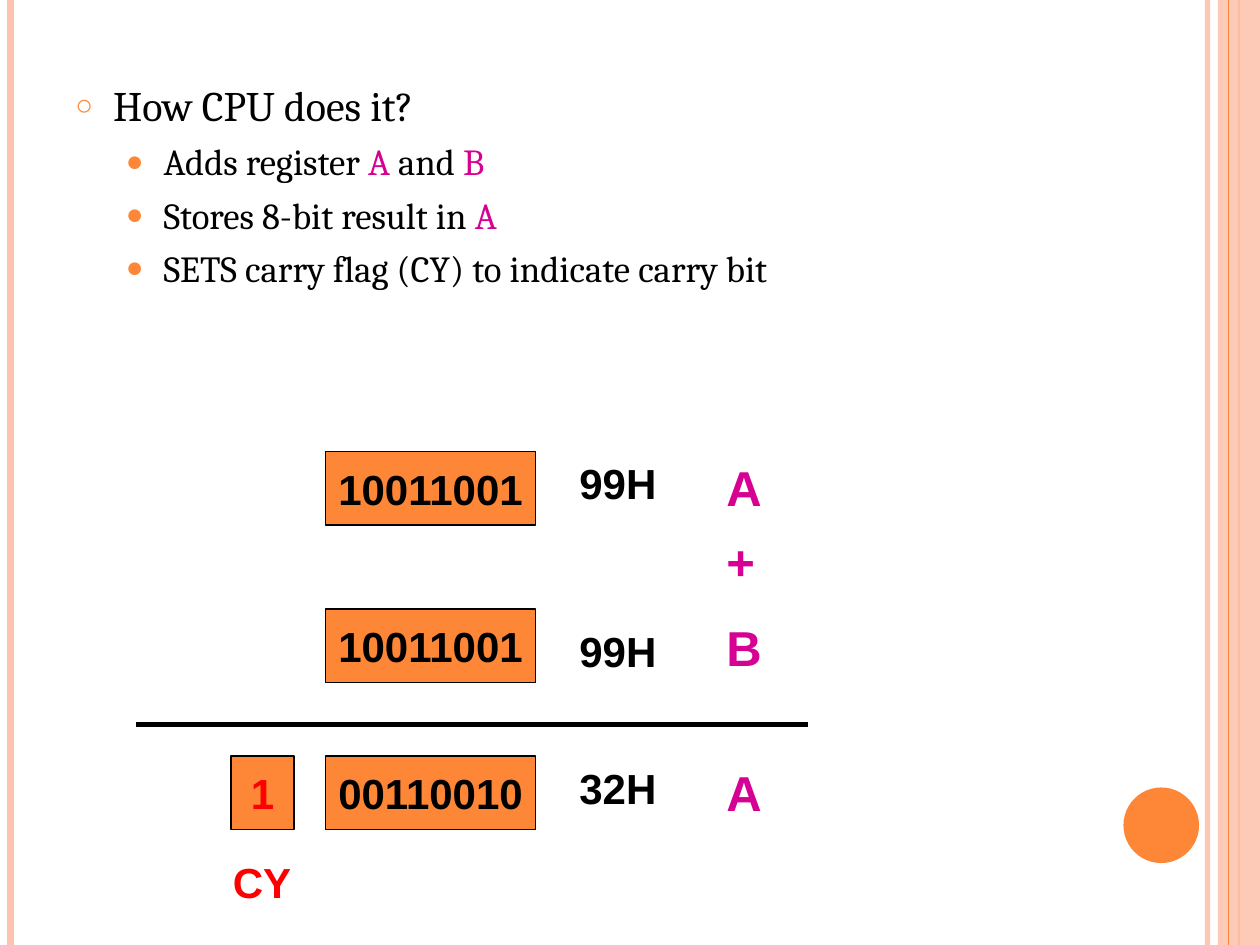
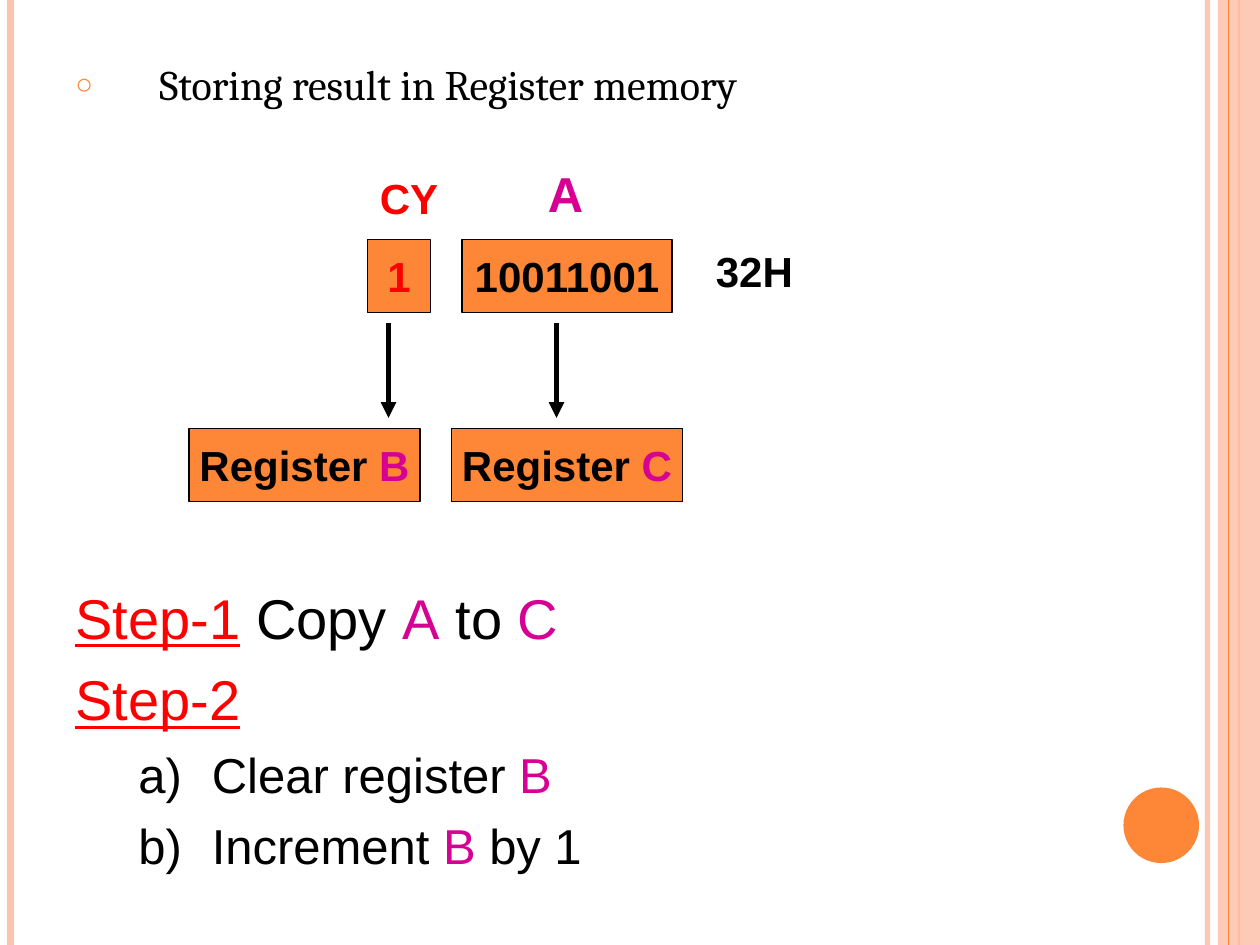
import pptx
import pptx.util
import pptx.dml.color
import pptx.enum.shapes
import pptx.enum.text
import pptx.oxml.ns
import lxml.etree

Pt = pptx.util.Pt
MSO = pptx.enum.shapes.MSO_SHAPE
qn = pptx.oxml.ns.qn
U = pptx.util.Inches(1) / 12
COLS, ROWS = 120, 90

COLORS = {"orange": "FE8637", "peach": "FEC3AE", "black": "000000",
          "pink": "D60093", "red": "FF0000"}
RGB = {k: pptx.dml.color.RGBColor.from_string(v) for k, v in COLORS.items()}

CIRCLE = dict(char="○", color="orange", pct=70)
DOT = dict(char="●", color="orange", pct=80)
LETTER = dict(auto="alphaLcParenR", color="black", pct=100)


def line(s, x1, y1, x2, y2, color, width, arrow=False):
    c = s.shapes.add_connector(pptx.enum.shapes.MSO_CONNECTOR.STRAIGHT,
                               *[round(v * U) for v in (x1, y1, x2, y2)])
    c.line.color.rgb = RGB[color]
    c.line.width = Pt(width)
    if arrow:
        lxml.etree.SubElement(c.line._get_or_add_ln(), qn("a:tailEnd"), type="triangle")
    lxml.etree.SubElement(c._element.spPr, qn("a:effectLst"))
    return c


def box(s, x, y, w, h, paras, framed=False, font="Arial", bold=True):
    at = [round(v * U) for v in (x, y, w, h)]
    if framed:
        sp = s.shapes.add_shape(MSO.RECTANGLE, *at)
        sp.shadow.inherit = False
        sp.fill.solid()
        sp.fill.fore_color.rgb = RGB["orange"]
        sp.line.color.rgb = RGB["black"]
        sp.line.width = Pt(0.75)
    else:
        sp = s.shapes.add_textbox(*at)
    tf = sp.text_frame
    tf.word_wrap = not framed
    for i, (runs, size, space, margin, indent, bullet) in enumerate(paras):
        p = tf.add_paragraph() if i else tf.paragraphs[0]
        if framed:
            p.alignment = pptx.enum.text.PP_ALIGN.CENTER
        p.space_before = Pt(space)
        pPr = p._p.get_or_add_pPr()
        pPr.set("marL", str(round(margin * U)))
        pPr.set("indent", str(round(indent * U)))
        if bullet:
            p.level = 1 if bullet != CIRCLE else 0
            clr = lxml.etree.SubElement(pPr, qn("a:buClr"))
            lxml.etree.SubElement(clr, qn("a:srgbClr"), val=COLORS[bullet["color"]])
            lxml.etree.SubElement(pPr, qn("a:buSzPct"), val=str(bullet["pct"] * 1000))
            lxml.etree.SubElement(pPr, qn("a:buFont"), typeface="Arial")
            if "char" in bullet:
                lxml.etree.SubElement(pPr, qn("a:buChar"), char=bullet["char"])
            else:
                lxml.etree.SubElement(pPr, qn("a:buAutoNum"), type=bullet["auto"])
        for text, color in runs:
            r = p.add_run()
            r.text = text
            r.font.name = font
            r.font.size = Pt(size)
            r.font.bold = bold
            r.font.underline = text.startswith("Step-")
            r.font.color.rgb = RGB[color]
    return sp


prs = pptx.Presentation()
prs.slide_width, prs.slide_height = round(COLS * U), round(ROWS * U)
s1, s2 = [prs.slides.add_slide(prs.slide_layouts[6]) for _ in range(2)]

decor = [line(s1, x, 0, x, ROWS, color, width) for x, color, width in
         [(115, "peach", 3), (1, "peach", 4.5), (118, "orange", 1.5)]]
for g, color, at in [(MSO.RECTANGLE, "peach", (116, 0, 4, ROWS)),
                     (MSO.OVAL, "orange", (107, 75, 7.2, 7.2))]:
    sp = s1.shapes.add_shape(g, *[round(v * U) for v in at])
    sp.shadow.inherit = False
    sp.fill.solid()
    sp.fill.fore_color.rgb = RGB[color]
    sp.line.fill.background()
    decor.append(sp)
decor.append(line(s1, 117, 0, 117, ROWS, "orange", 0.75))
for sp, share in [(decor[0], 93), (decor[3], 87)]:
    clr = next(sp._element.spPr.iter(qn("a:srgbClr")))
    lxml.etree.SubElement(clr, qn("a:alpha"), val=str(share * 1000))
for i, sp in enumerate(decor):
    sp._element.xpath(".//p:cNvPr")[0].set("id", str(100 + i))
    prs.slide_master.shapes.element.append(sp._element)

box(s1, 6, 7, 108, 31, [
    ([("How CPU does it?", "black")], 24, 6, 3.6, -3.6, CIRCLE),
    ([("Adds register ", "black"), ("A", "pink"), (" and ", "black"), ("B", "pink")],
     21, 5.2, 8.4, -3.6, DOT),
    ([("Stores 8-bit result in ", "black"), ("A", "pink")], 21, 5.2, 8.4, -3.6, DOT),
    ([("SETS carry flag (CY) to indicate carry bit", "black")], 21, 5.2, 8.4, -3.6, DOT),
], font="Cambria", bold=False)
box(s2, 6, 5, 108, 13.5, [
    ([("Storing result in Register memory", "black")], 24, 6, 8, -8, CIRCLE),
], font="Cambria", bold=False)

for s, x, y, w, text, color in [
        (s1, 31, 43, 20, "10011001", "black"), (s1, 31, 58, 20, "10011001", "black"),
        (s1, 31, 72, 20, "00110010", "black"), (s1, 22, 72, 6, "1", "red"),
        (s2, 44, 22.8, 20, "10011001", "black"), (s2, 35, 22.8, 6, "1", "red")]:
    box(s, x, y, w, 7, [([(text, color)], 24, 0, 0, 0, None)], framed=True)
for x, name in [(18, "B"), (43, "C")]:
    box(s2, x, 40.8, 22, 7,
        [([("Register ", "black"), (name, "pink")], 24, 0, 0, 0, None)], framed=True)

for s, x, y, w, text, color, size in [
        (s1, 68, 43, 6, "A", "pink", 28), (s1, 68, 50, 6, "+", "pink", 28),
        (s1, 68, 58.2, 6, "B", "pink", 28), (s1, 68, 72, 6, "A", "pink", 28),
        (s1, 54, 43, 11, "99H", "black", 24), (s1, 54, 59, 11, "99H", "black", 24),
        (s1, 54, 72, 11, "32H", "black", 24), (s1, 21, 81, 8, "CY", "red", 24),
        (s2, 51, 15, 6, "A", "pink", 28), (s2, 67, 22.8, 11, "32H", "black", 24),
        (s2, 35, 15.8, 8, "CY", "red", 24)]:
    box(s, x, y, w, size / 4, [([(text, color)], size, size * 0.625, 0, 0, None)])

line(s1, 13, 69, 77, 69, "black", 3)
for x in (37, 53):
    line(s2, x, 30.8, x, 39.8, "black", 3, arrow=True)

box(s2, 6, 55, 108, 32, [
    ([("Step-1", "red"), (" Copy ", "black"), ("A", "pink"), (" to ", "black"),
      ("C", "pink")], 32, 8, 8, -8, None),
    ([("Step-2", "red")], 32, 8, 8, -8, None),
    ([("Clear register ", "black"), ("B", "pink")], 28, 7, 13, -7, LETTER),
    ([("Increment ", "black"), ("B", "pink"), (" by 1", "black")], 28, 7, 13, -7, LETTER),
], bold=False)

prs.save("out.pptx")
